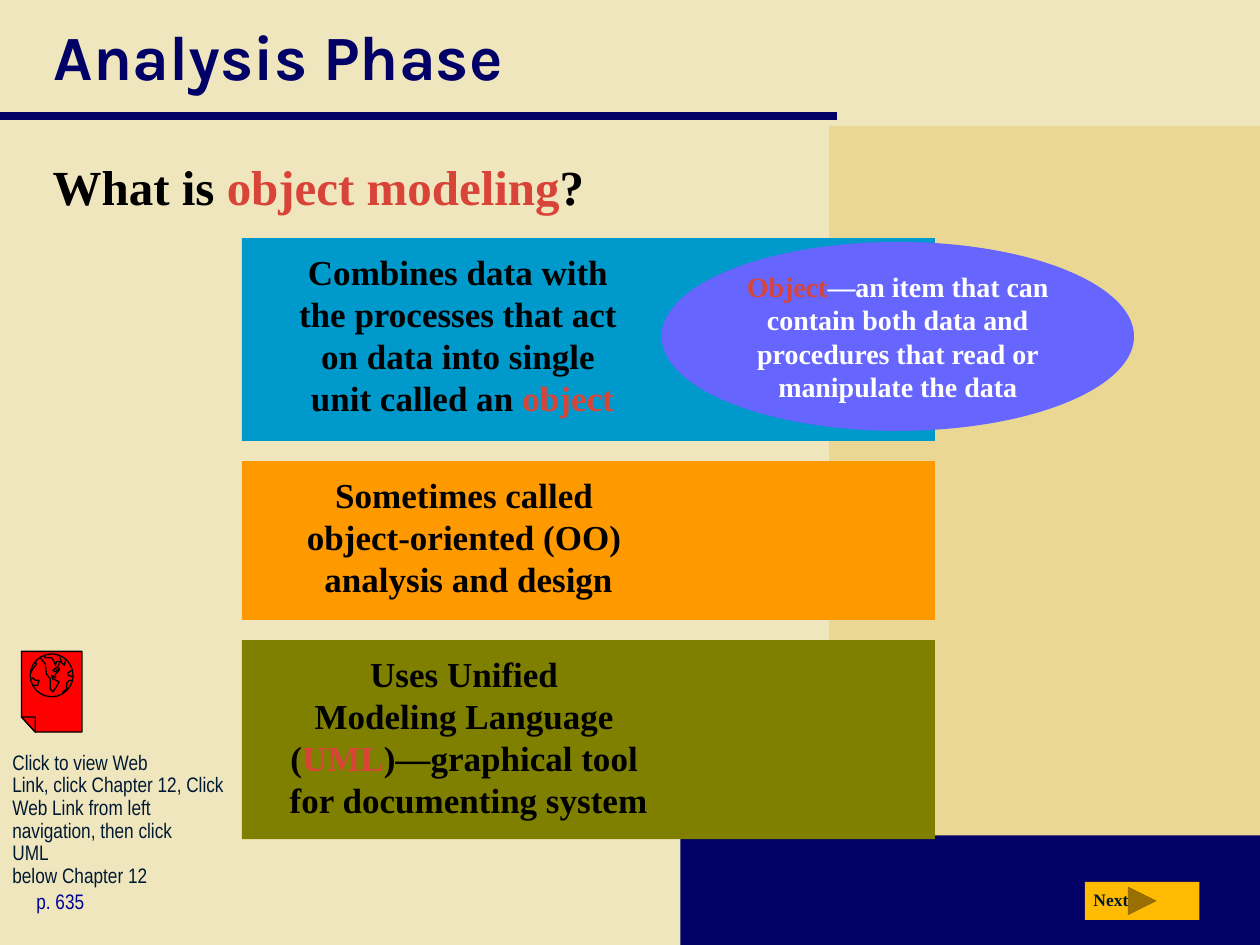
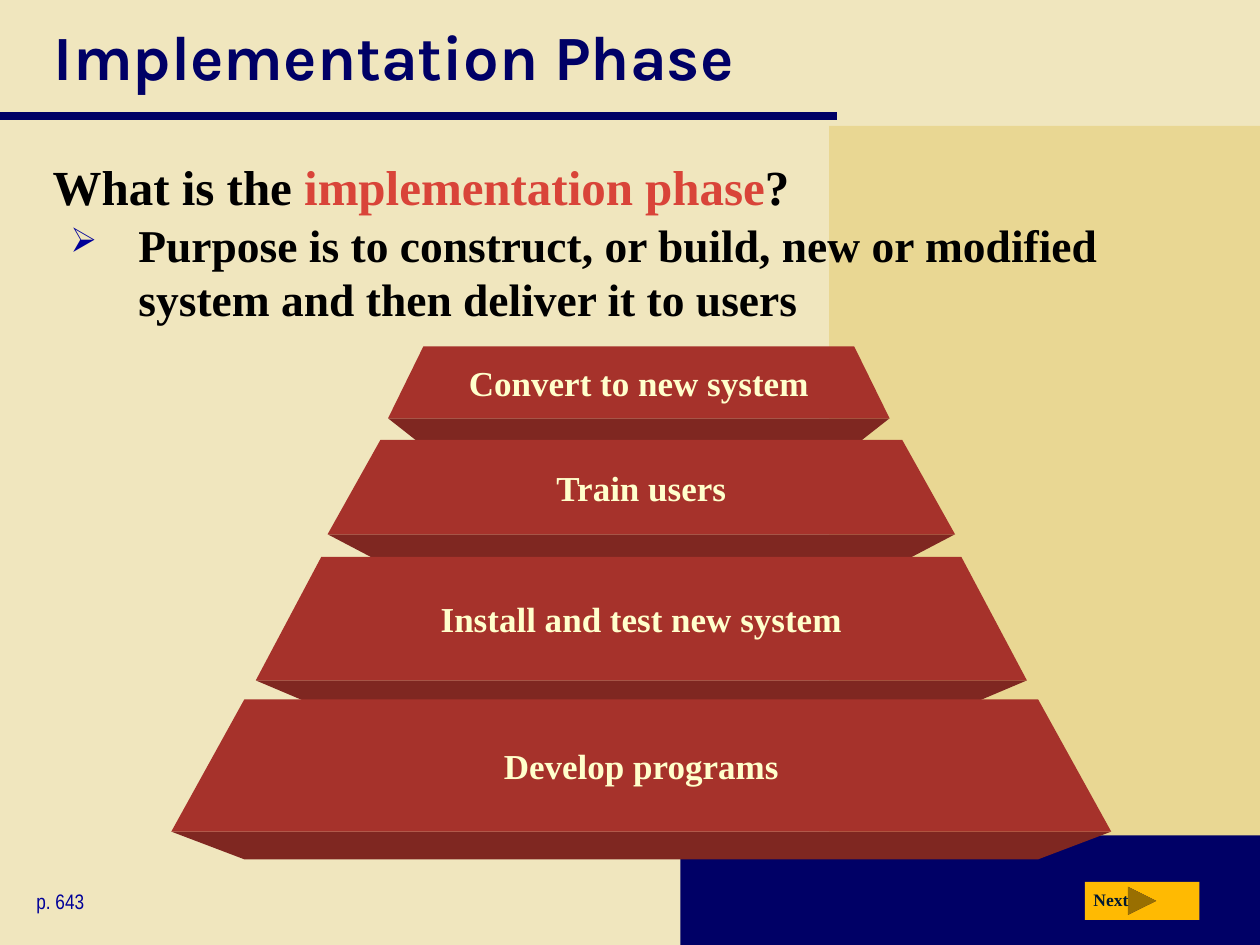
from dataclasses import dataclass

from lxml.etree import SubElement
from pptx import Presentation
from pptx.dml.color import RGBColor
from pptx.enum.shapes import MSO_CONNECTOR, MSO_SHAPE
from pptx.enum.text import MSO_ANCHOR, PP_ALIGN
from pptx.oxml.ns import qn
from pptx.util import Inches, Pt


@dataclass(frozen=True)
class Theme:
    # Colours
    paper: str = "F0E6BE"
    sand: str = "E9D793"
    navy: str = "000066"
    ink: str = "000000"
    accent: str = "D94439"
    page: str = "000099"
    dark: str = "001932"
    button: str = "FFBA02"
    blue: str = "0099CC"
    orange: str = "FF9900"
    olive: str = "808000"
    violet: str = "6666FF"
    white: str = "FFFFFF"
    cream: str = "FFFFCC"
    red: str = "FF0000"
    tier: str = "A6322B"
    tier_shade: str = "7F2721"
    # Fonts and sizes
    title_font: str = "Karla"
    serif: str = "Times New Roman"
    narrow: str = "Arial Narrow"
    title: int = 36
    question: int = 28
    bullet: int = 26
    label: int = 20
    callout: int = 16
    small: int = 12
    tiny: int = 10


T = Theme()
INSETS = (0.1, 0.05, 0.1, 0.05)


def rgb(color):
    return RGBColor.from_string(color)


def paint(sp, fill=None, line=None):
    sp.shadow.inherit = False
    if fill:
        sp.fill.solid()
        sp.fill.fore_color.rgb = rgb(fill)
    else:
        sp.fill.background()
    if line:
        sp.line.color.rgb = rgb(line)
        sp.line.width = Pt(0.75)
    else:
        sp.line.fill.background()


def write(sp, text, size, color=T.ink, font=T.serif, bold=True,
          align=PP_ALIGN.LEFT, anchor=MSO_ANCHOR.TOP, insets=INSETS):
    """Fill a shape with text; parts between asterisks take the accent colour."""
    tf = sp.text_frame
    tf.word_wrap = True
    tf.vertical_anchor = anchor
    tf.margin_left, tf.margin_top, tf.margin_right, tf.margin_bottom = map(Inches, insets)
    p = tf.paragraphs[0]
    p.alignment = align
    for i, part in enumerate(text.split("*")):
        for j, line in enumerate(part.split("\n")):
            if j:
                p.add_line_break()
            if not line:
                continue
            r = p.add_run()
            r.text = line
            r.font.name, r.font.size, r.font.bold = font, Pt(size), bold
            r.font.color.rgb = rgb(T.accent if i % 2 else color)
    for br in p._p.findall(qn("a:br")):
        SubElement(br, qn("a:rPr"), sz=str(size * 100))
    return p


def add_text(s, box, text, size, **style):
    return write(s.shapes.add_textbox(*map(Inches, box)), text, size, **style)


def add_block(s, kind, box, fill, line=None):
    sp = s.shapes.add_shape(kind, *map(Inches, box))
    paint(sp, fill, line)
    return sp


def add_outline(s, points, fill=None, line=None, close=True):
    start, *rest = [(Inches(x), Inches(y)) for x, y in points]
    builder = s.shapes.build_freeform(*start)
    builder.add_line_segments(rest, close=close)
    sp = builder.convert_to_shape()
    paint(sp, fill, line)
    return sp


def add_backdrop(s):
    s.background.fill.solid()
    s.background.fill.fore_color.rgb = rgb(T.paper)
    add_block(s, MSO_SHAPE.RECTANGLE, (6.58, 1, 3.42, 6.5), T.sand)
    add_block(s, MSO_SHAPE.RECTANGLE, (5.4, 6.63, 4.6, 0.87), T.navy)
    rule = s.shapes.add_connector(MSO_CONNECTOR.STRAIGHT, 0, Inches(0.92),
                                  Inches(6.64), Inches(0.92))
    rule.line.color.rgb = rgb(T.navy)
    rule.line.width = Pt(5)
    SubElement(rule._element.spPr, qn("a:effectLst"))


def add_topic_slide(prs, title, question, page):
    s = prs.slides.add_slide(prs.slide_layouts[6])
    add_backdrop(s)
    add_text(s, (0.33, 0, 9.39, 0.88), title, T.title, color=T.navy,
             font=T.title_font, anchor=MSO_ANCHOR.MIDDLE)
    add_text(s, (0.32, 1.19, 9.39, 0.72), question, T.question)
    # Page reference and Next button
    add_text(s, (0.19, 7, 1.69, 0.3), page, T.small, color=T.page,
             font=T.narrow, bold=False)
    add_block(s, MSO_SHAPE.ACTION_BUTTON_FORWARD_OR_NEXT, (8.61, 7, 0.91, 0.3), T.button)
    add_text(s, (8.58, 7.01, 0.51, 0.27), "Next", T.tiny, color=T.dark)
    return s


def add_bullet(s, box, text):
    p = add_text(s, box, text, T.bullet)
    pPr = p._p.get_or_add_pPr()
    pPr.set("marL", str(Inches(0.67)))
    pPr.set("indent", str(Inches(-0.54)))
    SubElement(SubElement(pPr, qn("a:buClr")), qn("a:srgbClr"), val=T.page)
    SubElement(pPr, qn("a:buSzPct"), val="75000")
    SubElement(pPr, qn("a:buChar"), char="➢")


def add_web_icon(s):
    # Page with a folded corner
    add_outline(s, [(0.17, 5.17), (0.65, 5.17), (0.65, 5.81), (0.28, 5.81), (0.17, 5.69)],
                T.red, T.ink)
    add_outline(s, [(0.17, 5.69), (0.28, 5.69), (0.28, 5.81)], T.red, T.ink)
    # Globe and its coastlines
    add_block(s, MSO_SHAPE.OVAL, (0.24, 5.19, 0.34, 0.34), T.red, T.ink)
    coastlines = [
        [(0.35, 5.2), (0.36, 5.22), (0.41, 5.22), (0.43, 5.25), (0.44, 5.28),
         (0.45, 5.25), (0.48, 5.25), (0.46, 5.29), (0.42, 5.32), (0.44, 5.33),
         (0.47, 5.3), (0.47, 5.32), (0.44, 5.35), (0.44, 5.38), (0.41, 5.36),
         (0.42, 5.39), (0.47, 5.41), (0.45, 5.45), (0.42, 5.49), (0.4, 5.47),
         (0.4, 5.39), (0.37, 5.35), (0.36, 5.27), (0.32, 5.22)],
        [(0.25, 5.39), (0.26, 5.38), (0.28, 5.4), (0.31, 5.4), (0.3, 5.44), (0.26, 5.44)],
        [(0.24, 5.35), (0.26, 5.31), (0.29, 5.27), (0.28, 5.25)],
        [(0.5, 5.51), (0.5, 5.49), (0.53, 5.47), (0.53, 5.42), (0.55, 5.4), (0.57, 5.4)],
        [(0.58, 5.37), (0.54, 5.36), (0.54, 5.34), (0.57, 5.32)],
        [(0.47, 5.2), (0.49, 5.26), (0.51, 5.28), (0.52, 5.24)],
    ]
    for points in coastlines:
        add_outline(s, points, line=T.ink, close=False)


def add_tier(s, label, center, top, bottom, half_top, half_bottom):
    depth = 0.22
    edge = [(center + half_bottom, bottom), (center - half_bottom, bottom)]
    add_outline(s, edge + [(center - half_top, bottom + depth),
                           (center + half_top, bottom + depth)], T.tier_shade)
    face = add_outline(s, edge + [(center - half_top, top), (center + half_top, top)], T.tier)
    write(face, label, T.label, color=T.cream, align=PP_ALIGN.CENTER,
          anchor=MSO_ANCHOR.MIDDLE, insets=(0, 0, 0, 0))


def build_analysis(prs):
    s = add_topic_slide(prs, "Analysis Phase", "What is *object modeling*?", "p. 635")
    # Statement blocks
    statements = [
        (1.89, 1.61, T.blue, (0, 0.1, 2, 0),
         "Combines data with \nthe processes that act \non data into single \n"
         "unit called an *object*"),
        (3.66, 1.26, T.orange, (0.1, 0.1, 2, 0.05),
         "Sometimes called \nobject-oriented (OO) \nanalysis and design"),
        (5.08, 1.58, T.olive, (0.1, 0.1, 2, 0.05),
         "Uses Unified \nModeling Language \n(*UML*)—graphical tool \n"
         "for documenting system"),
    ]
    for top, height, fill, insets, text in statements:
        sp = add_block(s, MSO_SHAPE.RECTANGLE, (1.92, top, 5.5, height), fill)
        write(sp, text, T.label, align=PP_ALIGN.CENTER, insets=insets)
    # Definition callout
    callout = add_block(s, MSO_SHAPE.OVAL, (5.25, 1.92, 3.75, 1.5), T.violet)
    write(callout, "*Object*—an item that can contain both data and procedures "
          "that read or manipulate the data", T.callout, color=T.white,
          align=PP_ALIGN.CENTER, anchor=MSO_ANCHOR.MIDDLE)
    # Web link
    p = add_text(s, (0, 5.92, 2.17, 0.67),
                 "Click to view Web \nLink, click Chapter 12, Click \nWeb Link from left \n"
                 "navigation, then click \nUML\nbelow Chapter 12",
                 T.small, color=T.dark, font=T.narrow, bold=False)
    p.line_spacing = 0.9
    add_web_icon(s)


def build_implementation(prs):
    s = add_topic_slide(prs, "Implementation Phase",
                        "What is the *implementation phase*?", "p. 643")
    add_bullet(s, (0.33, 1.67, 9.39, 1.47),
               "Purpose is to construct, or build, new or modified system "
               "and then deliver it to users")
    # Pyramid: label, centre, top, bottom, half widths of top and bottom edges
    tiers = [
        ("Convert to new system", 5.07, 2.75, 3.32, 1.71, 1.99),
        ("Train users", 5.09, 3.49, 4.24, 2.07, 2.49),
        ("Install and test new system", 5.09, 4.42, 5.4, 2.54, 3.06),
        ("Develop programs", 5.09, 5.55, 6.6, 3.15, 3.73),
    ]
    for tier in tiers:
        add_tier(s, *tier)


def main():
    prs = Presentation()
    prs.slide_width, prs.slide_height = Inches(10), Inches(7.5)
    build_analysis(prs)
    build_implementation(prs)
    prs.save("out.pptx")


if __name__ == "__main__":
    main()
